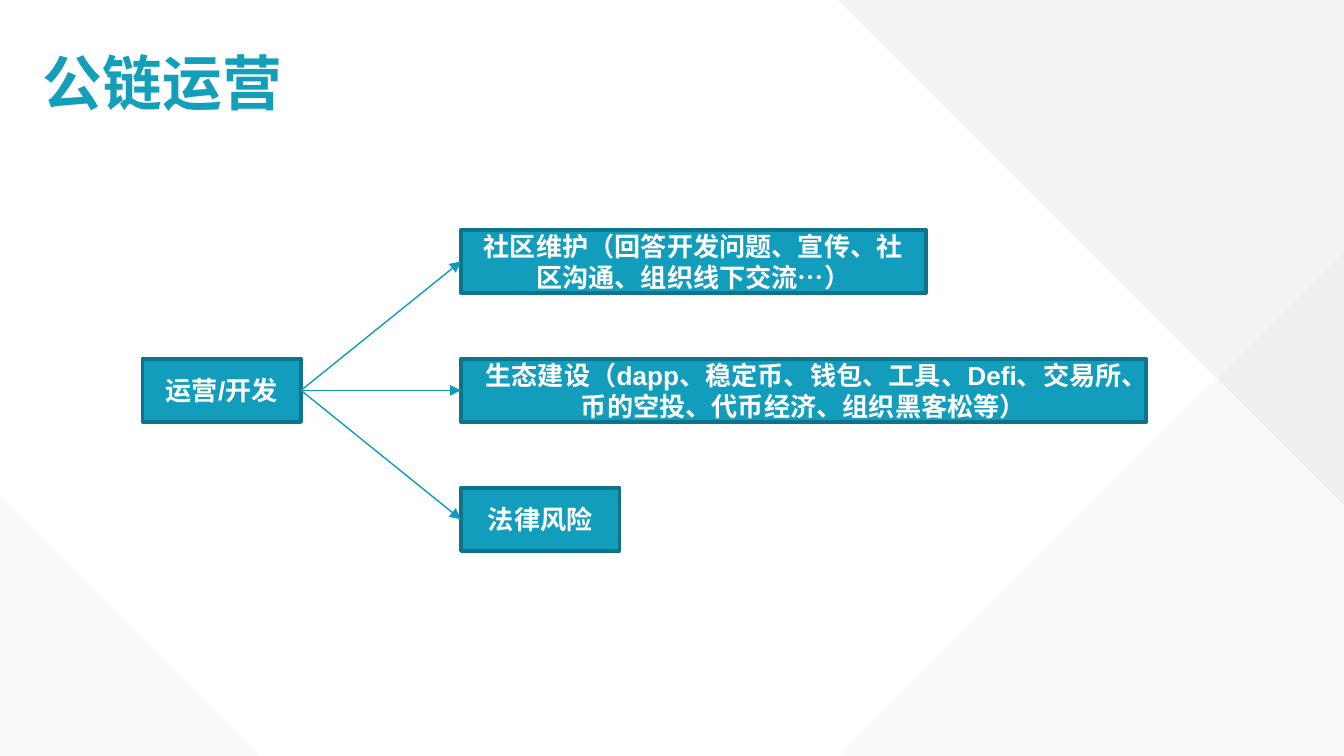
import pptx
import pptx.util
import pptx.dml.color
import pptx.oxml.ns
import pptx.enum.shapes
import pptx.enum.text
from dataclasses import dataclass

Inches, Pt = pptx.util.Inches, pptx.util.Pt
qn = pptx.oxml.ns.qn
SHAPE = pptx.enum.shapes.MSO_SHAPE
CENTER = pptx.enum.text.PP_ALIGN.CENTER
MIDDLE = pptx.enum.text.MSO_ANCHOR.MIDDLE

TITLE = "公链运营"
ROOT = "运营/开发"
# text, box width
BRANCHES = [
    ("社区维护（回答开发问题、宣传、社区沟通、组织线下交流…）", 3.46),
    ("生态建设（dapp、稳定币、钱包、工具、Defi、交易所、币的空投、代币经济、组织黑客松等）", 5.1),
    ("法律风险", 1.18),
]
# left, top, side, rotation, mirrored, opacity in percent
CORNERS = [
    (6.25, 1.87, 3.76, 0, True, 14),
    (0, 3.69, 1.94, 0, False, 14),
    (6.24, 0, 3.76, 180, False, 30),
]


@dataclass(frozen=True)
class Theme:
    font: str = "Arial"
    title: str = "139FBA"
    box: str = "139DBC"
    border: str = "0E748B"
    arrow: str = "0E9CBC"
    corner: str = "D9D9D9"
    text: str = "FFFFFF"
    title_size: int = 32
    box_size: int = 14


THEME = Theme()
ROOT_X, ROOT_W, BRANCH_X = 1.06, 1.18, 3.43
BOX_H, FIRST_Y, PITCH = 0.47, 1.71, 0.96


def rgb(code):
    return pptx.dml.color.RGBColor.from_string(code)


def write(tf, text, size, color):
    tf.word_wrap = True
    tf.vertical_anchor = MIDDLE
    p = tf.paragraphs[0]
    p.alignment = CENTER
    r = p.add_run()
    r.text = text
    r.font.name = THEME.font
    r.font.size = Pt(size)
    r.font.bold = True
    r.font.color.rgb = rgb(color)


def add_corner(s, left, top, side, rotation, mirrored, opacity):
    sp = s.shapes.add_shape(SHAPE.RIGHT_TRIANGLE, Inches(left), Inches(top),
                            Inches(side), Inches(side))
    sp.shadow.inherit = False
    sp.rotation = rotation
    sp.fill.solid()
    sp.fill.fore_color.rgb = rgb(THEME.corner)
    sp.line.fill.background()
    color = sp.element.spPr.find(qn("a:solidFill"))[0]
    color.append(color.makeelement(qn("a:alpha"), {"val": str(opacity * 1000)}))
    if mirrored:
        sp.element.spPr.find(qn("a:xfrm")).set("flipH", "1")


def add_box(s, text, left, top, width):
    sp = s.shapes.add_shape(SHAPE.RECTANGLE, Inches(left), Inches(top),
                            Inches(width), Inches(BOX_H))
    sp.shadow.inherit = False
    sp.fill.solid()
    sp.fill.fore_color.rgb = rgb(THEME.box)
    sp.line.color.rgb = rgb(THEME.border)
    sp.line.width = Pt(2)
    write(sp.text_frame, text, THEME.box_size, THEME.text)
    return sp


def add_arrow(s, source, target):
    """Join the right side of source to the left side of target."""
    line = s.shapes.add_connector(pptx.enum.shapes.MSO_CONNECTOR.STRAIGHT, 0, 0, 0, 0)
    line.begin_connect(source, 3)
    line.end_connect(target, 1)
    line.line.color.rgb = rgb(THEME.arrow)
    line.line.width = Pt(0.75)
    spPr = line.element.spPr
    ln = spPr.find(qn("a:ln"))
    ln.append(ln.makeelement(qn("a:tailEnd"), {"type": "triangle"}))
    spPr.append(spPr.makeelement(qn("a:effectLst"), {}))


def main():
    prs = pptx.Presentation()
    # a 16:9 page
    prs.slide_width, prs.slide_height = Inches(10), Inches(10 * 9 / 16)
    s = prs.slides.add_slide(prs.slide_layouts[5])

    for corner in CORNERS:
        add_corner(s, *corner)

    title = s.shapes.title
    title.left, title.top = Inches(0.18), Inches(0.22)
    title.width, title.height = Inches(2.06), Inches(0.78)
    tf = title.text_frame
    tf.margin_left = tf.margin_right = tf.margin_top = tf.margin_bottom = Inches(0.1)
    write(tf, TITLE, THEME.title_size, THEME.title)

    middle_y = FIRST_Y + PITCH * (len(BRANCHES) - 1) / 2
    root = add_box(s, ROOT, ROOT_X, middle_y, ROOT_W)
    boxes = [add_box(s, text, BRANCH_X, FIRST_Y + i * PITCH, width)
             for i, (text, width) in enumerate(BRANCHES)]
    for box in boxes:
        add_arrow(s, root, box)

    prs.save("out.pptx")


if __name__ == "__main__":
    main()
